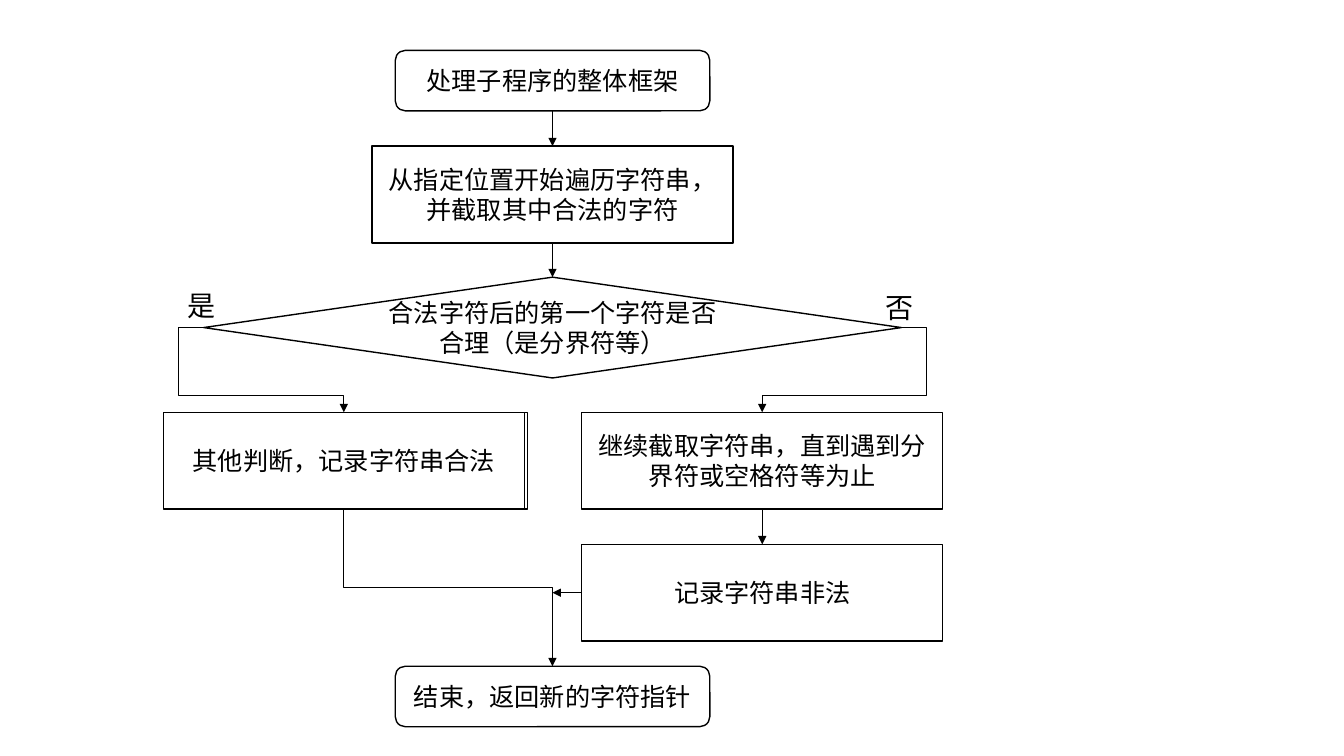
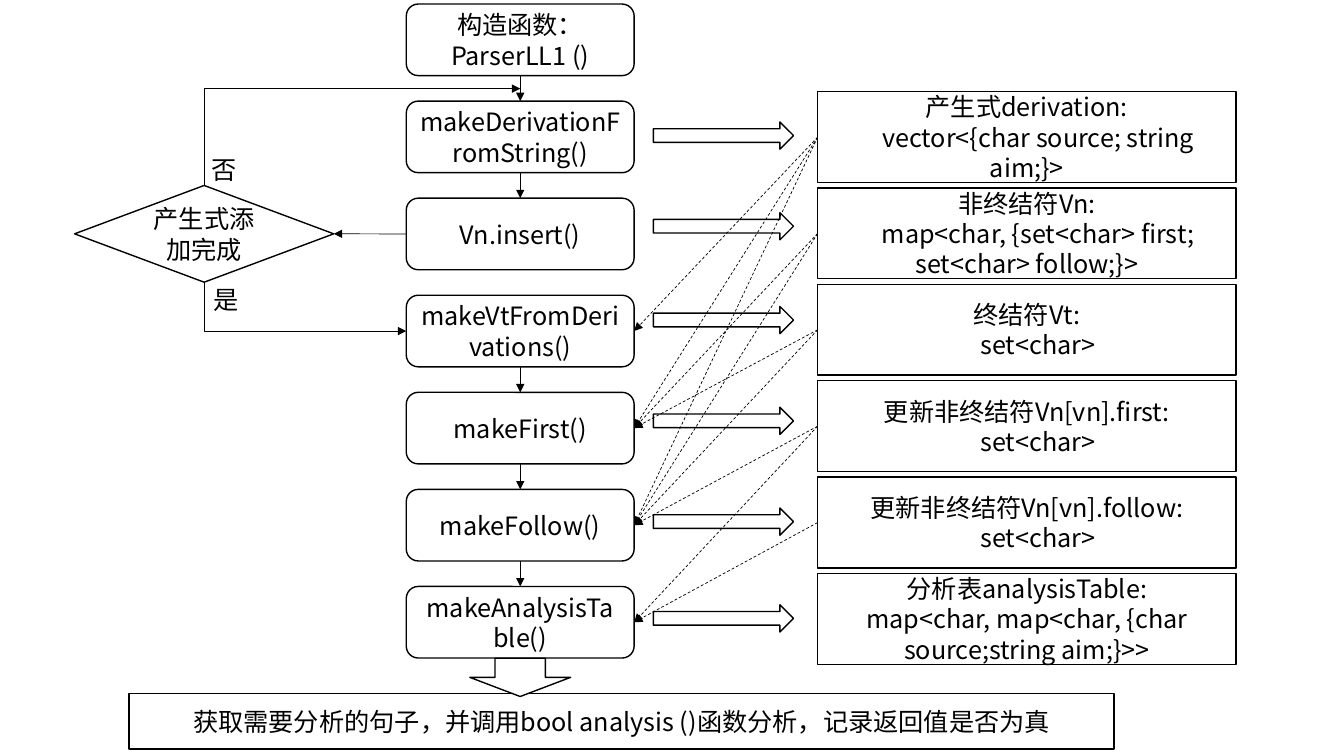
import pptx
import pptx.util
import pptx.dml.color
import pptx.enum.dml
import pptx.enum.shapes
import pptx.enum.text
import pptx.oxml
import pptx.oxml.ns

WIDE, HIGH = 13.33, 7.5
FONT = "Noto Sans CJK SC"
COLOR = {"ink": "000000", "paper": "FFFFFF"}
KIND = pptx.enum.shapes.MSO_SHAPE
LINK = pptx.enum.shapes.MSO_CONNECTOR
TOP, LEFT, BASE, RIGHT = range(4)

MID = 5.48
FLOW = {
    "start": (KIND.ROUNDED_RECTANGLE, MID, 0.5, 3.12, 0.6, "处理子程序的整体框架"),
    "scan": (KIND.RECTANGLE, MID, 1.45, 3.58, 0.96, "从指定位置开始遍历字符串，并截取其中合法的字符"),
    "test": (KIND.FLOWCHART_DECISION, MID, 2.75, 6.92, 1, "合法字符后的第一个字符是否合理（是分界符等）"),
    "back": (KIND.RECTANGLE, 3.44, 4.09, 3.58, 0.96, ""),
    "valid": (KIND.RECTANGLE, 3.41, 4.09, 3.58, 0.96, "其他判断，记录字符串合法"),
    "skip": (KIND.RECTANGLE, 7.56, 4.09, 3.58, 0.96, "继续截取字符串，直到遇到分界符或空格符等为止"),
    "error": (KIND.RECTANGLE, 7.56, 5.4, 3.58, 0.96, "记录字符串非法"),
    "end": (KIND.ROUNDED_RECTANGLE, MID, 6.61, 3.12, 0.6, "结束，返回新的字符指针"),
}
FLOW_LINKS = [("start", "scan"), ("scan", "test"), ("skip", "error")]

STEPS = ["构造函数：ParserLL1 ()", "makeDerivationFromString()", "Vn.insert()",
         "makeVtFromDerivations()", "makeFirst()", "makeFollow()", "makeAnalysisTable()"]
STEP_LINKS = [(0, 1), (1, 2), (3, 4), (4, 5), (5, 6)]
DATA = [
    ("产生式derivation:", "vector<{char source; string aim;}>", 0.22),
    ("非终结符Vn:", "map<char, {set<char> first; set<char> follow;}>", 0.22),
    ("终结符Vt:", "set<char>", 0.22),
    ("更新非终结符Vn[vn].first:", "set<char>", 0.22),
    ("更新非终结符Vn[vn].follow:", "set<char>", 0.22),
    ("分析表analysisTable:", "map<char, map<char, {char source;string aim;}>>", 0),
]
ARROW_TOPS = [1.21, 2.11, 3.04, 4.04, 5.04, 6]
USES = {3: [0], 4: [0, 1, 2], 5: [0, 1, 2, 3], 6: [4, 3]}
FINAL = "获取需要分析的句子，并调用bool analysis ()函数分析，记录返回值是否为真"


def inch(size):
    return pptx.util.Inches(size)


def ink(name):
    return pptx.dml.color.RGBColor.from_string(COLOR[name])


def write(frame, lines, size, align=None):
    frame.word_wrap = True
    frame.text = "\n".join(lines)
    for para in frame.paragraphs:
        para.alignment = align
        for run in para.runs:
            run.font.size = pptx.util.Pt(size)
            run.font.name = FONT
            run.font.color.rgb = ink("ink")
            east = pptx.oxml.parse_xml(
                f'<a:ea {pptx.oxml.ns.nsdecls("a")} typeface="{FONT}"/>')
            run.font._element.find(pptx.oxml.ns.qn("a:latin")).addnext(east)


def box(slide, kind, left, top, wide, high, *lines):
    shape = slide.shapes.add_shape(kind, inch(left), inch(top), inch(wide), inch(high))
    shape.shadow.inherit = False
    shape.fill.solid()
    shape.fill.fore_color.rgb = ink("paper")
    shape.line.color.rgb = ink("ink")
    shape.line.width = pptx.util.Pt(1)
    if any(lines):
        shape.text_frame.vertical_anchor = pptx.enum.text.MSO_ANCHOR.MIDDLE
        write(shape.text_frame, lines, 18, pptx.enum.text.PP_ALIGN.CENTER)
    return shape


def label(slide, text, left, top, wide, high, size):
    area = slide.shapes.add_textbox(inch(left), inch(top), inch(wide), inch(high))
    write(area.text_frame, [text], size)


def spot(shape, side):
    x = {LEFT: 0, RIGHT: 1}.get(side, 0.5)
    y = {TOP: 0, BASE: 1}.get(side, 0.5)
    return (int(shape.left + shape.width * x), int(shape.top + shape.height * y))


def join(slide, first, side, last=None, goal=None, point=None, bend=None, dash=False):
    start = spot(first, side)
    stop = spot(last, goal) if last is not None else tuple(map(inch, point))
    kind = LINK.ELBOW if bend else LINK.STRAIGHT
    line = slide.shapes.add_connector(kind, *start, *stop)
    line.begin_connect(first, side)
    if last is not None:
        line.end_connect(last, goal)
    line.line.color.rgb = ink("ink")
    line.line.width = pptx.util.Pt(0.5)
    if dash:
        line.line.dash_style = pptx.enum.dml.MSO_LINE.DASH
    space = pptx.oxml.ns.nsdecls("a")
    props = line._element.spPr
    line.line._get_or_add_ln().append(
        pptx.oxml.parse_xml(f'<a:tailEnd {space} type="triangle"/>'))
    props.append(pptx.oxml.parse_xml(f"<a:effectLst {space}/>"))
    if bend:
        shape_bend(line, start, stop, side in (TOP, BASE), *bend)


def shape_bend(line, start, stop, turn, preset, *shares):
    props = line._element.spPr
    geom = props.find(pptx.oxml.ns.qn("a:prstGeom"))
    geom.set("prst", preset)
    guides = geom.find(pptx.oxml.ns.qn("a:avLst"))
    if guides is None:
        guides = pptx.oxml.parse_xml(f'<a:avLst {pptx.oxml.ns.nsdecls("a")}/>')
        geom.append(guides)
    for rank, share in enumerate(shares, 1):
        guides.append(pptx.oxml.parse_xml(
            f'<a:gd {pptx.oxml.ns.nsdecls("a")} name="adj{rank}" fmla="val {round(share * 100000)}"/>'))
    if turn:
        across, down = stop[0] - start[0], stop[1] - start[1]
        line.width, line.height = abs(down), abs(across)
        line.left = (start[0] + stop[0] - abs(down)) // 2
        line.top = (start[1] + stop[1] - abs(across)) // 2
        frame = props.find(pptx.oxml.ns.qn("a:xfrm"))
        frame.set("rot", str(90 * 60000))
        frame.set("flipH", str(int(down < 0)))
        frame.set("flipV", str(int(across > 0)))


def draw_flow(slide):
    node = {}
    for name, (kind, mid, top, wide, high, text) in FLOW.items():
        node[name] = box(slide, kind, mid - wide / 2, top, wide, high, text)
    for first, last in FLOW_LINKS:
        join(slide, node[first], BASE, node[last], TOP)
    for side, name in ((LEFT, "valid"), (RIGHT, "skip")):
        join(slide, node["test"], side, node[name], TOP, bend=("bentConnector4", -0.18, 0.8))
    join(slide, node["valid"], BASE, node["end"], TOP, bend=("bentConnector3", 0.5))
    join(slide, node["error"], LEFT, point=(MID, 5.88))
    label(slide, "是", 1.76, 2.81, 0.52, 0.44, 20)
    label(slide, "否", 8.68, 2.83, 0.52, 0.44, 20)


def draw_parse(slide):
    steps = [box(slide, KIND.ROUNDED_RECTANGLE, 4.03, 0.04 + 0.963 * row, 2.26, 0.71, text)
             for row, text in enumerate(STEPS)]
    for first, last in STEP_LINKS:
        join(slide, steps[first], BASE, steps[last], TOP)
    test = box(slide, KIND.FLOWCHART_DECISION, 0.74, 1.84, 2.57, 0.96, "产生式添加完成")
    join(slide, steps[2], LEFT, test, RIGHT)
    join(slide, test, TOP, point=(5.16, 0.88), bend=("bentConnector2",))
    join(slide, test, BASE, steps[3], LEFT, bend=("bentConnector2",))
    label(slide, "是", 2.02, 2.77, 0.46, 0.4, 18)
    label(slide, "否", 2, 1.48, 0.46, 0.4, 18)
    data = []
    for row, (title, form, indent) in enumerate(DATA):
        part = box(slide, KIND.RECTANGLE, 8.11, 0.91 + 0.956 * row, 4.15, 0.9, title, form)
        props = part.text_frame.paragraphs[1]._p.get_or_add_pPr()
        props.set("indent", str(inch(indent)))
        data.append(part)
        box(slide, KIND.RIGHT_ARROW, 6.48, ARROW_TOPS[row], 1.39, 0.27)
    for step, needs in USES.items():
        for need in needs:
            join(slide, data[need], LEFT, steps[step], RIGHT, dash=True)
    box(slide, KIND.RECTANGLE, 1.28, 6.88, 9.77, 0.55, FINAL)
    box(slide, KIND.DOWN_ARROW, 4.66, 6.53, 1, 0.38)


def main():
    deck = pptx.Presentation()
    deck.slide_width, deck.slide_height = inch(WIDE), inch(HIGH)
    for draw in (draw_flow, draw_parse):
        draw(deck.slides.add_slide(deck.slide_layouts[6]))
    deck.save("out.pptx")


if __name__ == "__main__":
    main()
